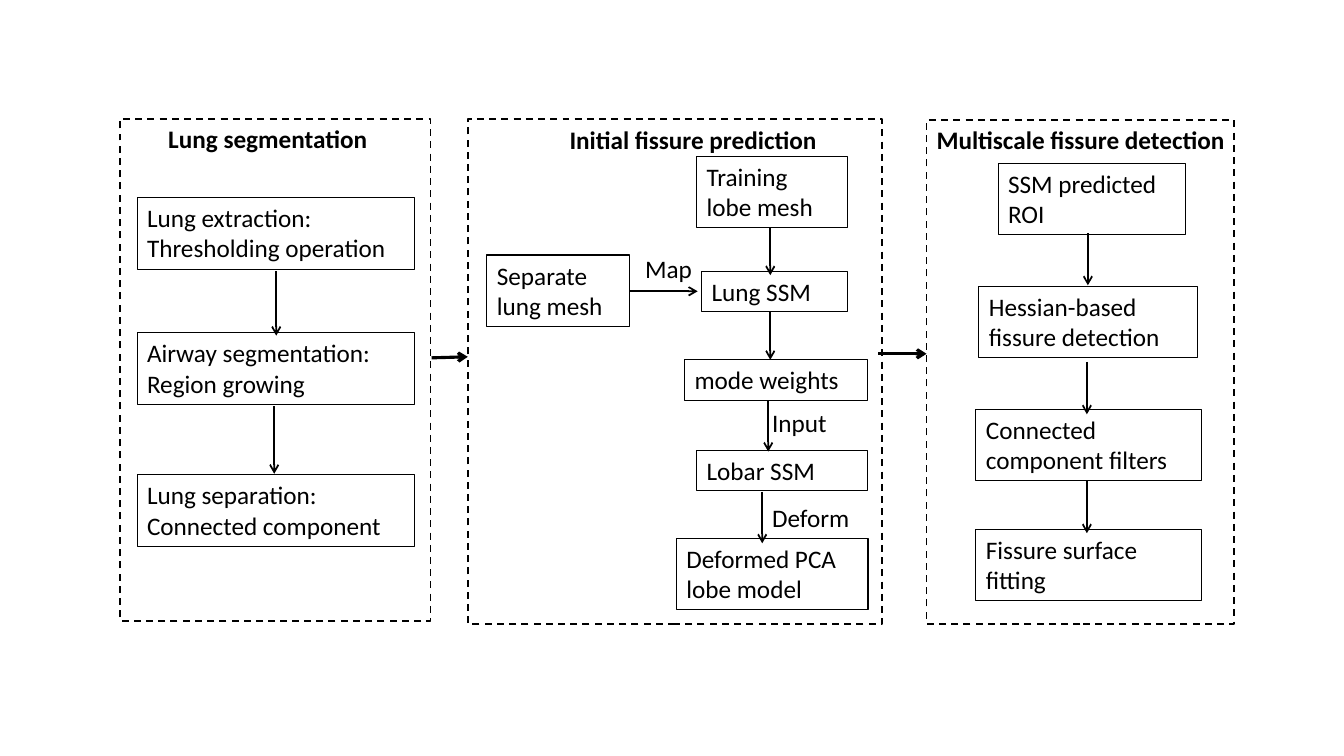
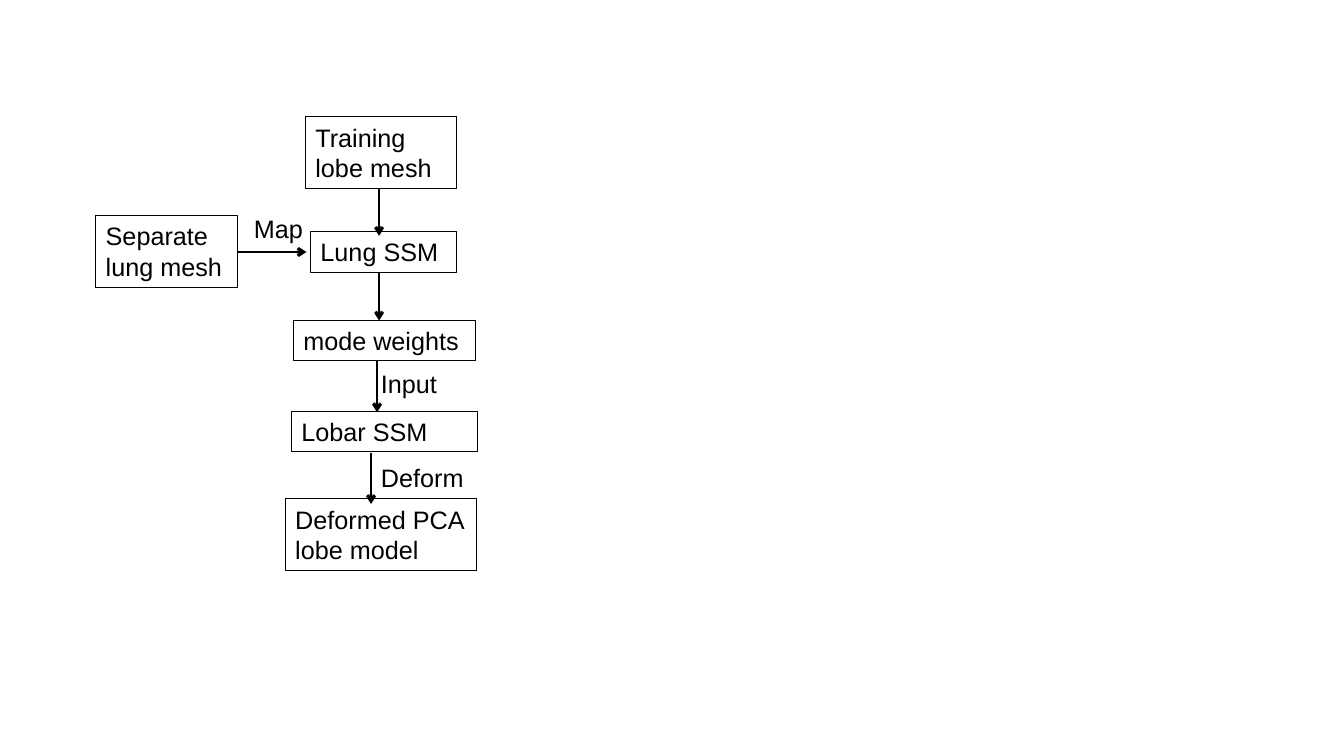
"""Build two flow charts of lung fissure detection."""
from lxml.etree import SubElement
from pptx import Presentation
from pptx.dml.color import RGBColor
from pptx.enum.dml import MSO_LINE
from pptx.enum.shapes import MSO_CONNECTOR, MSO_SHAPE
from pptx.enum.text import MSO_ANCHOR, MSO_AUTO_SIZE, PP_ALIGN
from pptx.oxml.ns import qn
from pptx.util import Inches, Pt

BLACK = RGBColor(0, 0, 0)
TEXT_SIZE = Pt(18)
ONE_LINE, TWO_LINES = 0.4, 0.71


def write(shape, text, font, bold=False):
    """Fill a shape with one left-aligned paragraph."""
    tf = shape.text_frame
    tf.word_wrap = True
    tf.auto_size = MSO_AUTO_SIZE.SHAPE_TO_FIT_TEXT
    tf.vertical_anchor = MSO_ANCHOR.TOP
    p = tf.paragraphs[0]
    p.alignment = PP_ALIGN.LEFT
    r = p.add_run()
    r.text = text
    r.font.name = font
    r.font.size = TEXT_SIZE
    r.font.bold = bold
    r.font.color.rgb = BLACK


def add_outline(s, x, y, w, h, weight):
    """Add an unfilled rectangle with a black outline."""
    sp = s.shapes.add_shape(MSO_SHAPE.RECTANGLE, Inches(x), Inches(y), Inches(w), Inches(h))
    sp.shadow.inherit = False
    sp.fill.background()
    sp.line.color.rgb = BLACK
    sp.line.width = Pt(weight)
    return sp


def add_step(s, text, x, y, w, h, font):
    """Add a boxed step of the flow."""
    write(add_outline(s, x, y, w, h, 0.75), text, font)


def add_label(s, text, x, y, w, font, bold=False):
    """Add a one-line label without a box."""
    sp = s.shapes.add_textbox(Inches(x), Inches(y), Inches(w), Inches(ONE_LINE))
    write(sp, text, font, bold)


def add_stage(s, title, title_x, title_y, title_w, x, y, w, h, font):
    """Add a dashed stage frame with its bold title."""
    add_outline(s, x, y, w, h, 1.25).line.dash_style = MSO_LINE.DASH
    add_label(s, title, title_x, title_y, title_w, font, bold=True)


def add_arrow(s, x1, y1, x2, y2, weight):
    """Add a straight line with an open arrowhead at its end."""
    line = s.shapes.add_connector(
        MSO_CONNECTOR.STRAIGHT, Inches(x1), Inches(y1), Inches(x2), Inches(y2))
    line.line.color.rgb = BLACK
    line.line.width = Pt(weight)
    SubElement(line.line._get_or_add_ln(), qn("a:tailEnd"), type="arrow")
    SubElement(line._element.spPr, qn("a:effectLst"))


def add_down_arrows(s, arrows, weight):
    """Add vertical arrows given as x, top and bottom."""
    for x, top, bottom in arrows:
        add_arrow(s, x, top, x, bottom, weight)


def add_prediction_flow(s, left, top, lobar_x, lobar_w, font, weight):
    """Add the fissure prediction flow from its top left corner."""
    steps = [
        ("Training lobe mesh", 2.08, 0, 1.5, TWO_LINES),
        ("Separate lung mesh", 0, 0.98, 1.41, TWO_LINES),
        ("Lung SSM", 2.13, 1.14, 1.45, ONE_LINE),
        ("mode weights", 1.96, 2.02, 1.81, ONE_LINE),
        ("Lobar SSM", lobar_x, 2.92, lobar_w, ONE_LINE),
        ("Deformed PCA lobe model", 1.88, 3.79, 1.9, TWO_LINES),
    ]
    for text, x, y, w, h in steps:
        add_step(s, text, left + x, top + y, w, h, font)
    labels = [("Map", 1.47, 0.91, 1.46), ("Input", 2.73, 2.44, 0.89),
              ("Deform", 2.73, 3.38, 1.08)]
    for text, x, y, w in labels:
        add_label(s, text, left + x, top + y, w, font)
    add_arrow(s, left + 1.41, top + 1.34, left + 2.09, top + 1.34, weight)
    arrows = [(2.81, 0.71, 1.18), (2.81, 1.54, 2.02), (2.79, 2.42, 2.93), (2.73, 3.33, 3.84)]
    add_down_arrows(s, [(left + x, top + y1, top + y2) for x, y1, y2 in arrows], weight)


def add_segmentation(s, font):
    """Add the lung segmentation stage."""
    add_stage(s, "Lung segmentation", 1.57, 1.17, 2.71, 1.19, 1.18, 3.08, 4.98, font)
    steps = [("Lung extraction: Thresholding operation", 1.96),
             ("Airway segmentation: Region growing", 3.3),
             ("Lung separation: Connected component", 4.71)]
    for text, y in steps:
        add_step(s, text, 1.36, y, 2.75, TWO_LINES, font)
    add_down_arrows(s, [(2.74, 2.69, 3.33), (2.72, 4.03, 4.7)], 1.25)


def add_detection(s, font):
    """Add the multiscale fissure detection stage."""
    add_stage(s, "Multiscale fissure detection", 9.19, 1.18, 3.19, 9.19, 1.19, 3.05, 5, font)
    steps = [("SSM predicted ROI", 9.9, 1.62, 1.86),
             ("Hessian-based fissure detection", 9.71, 2.84, 2.17),
             ("Connected component filters", 9.68, 4.06, 2.24),
             ("Fissure surface fitting", 9.68, 5.25, 2.24)]
    for text, x, y, w in steps:
        add_step(s, text, x, y, w, TWO_LINES, font)
    add_down_arrows(s, [(10.79, 2.31, 2.83), (10.78, 3.59, 4.11), (10.78, 4.77, 5.29)], 1.25)


def build_pipeline(s):
    """Build the three-stage pipeline slide."""
    font = "Calibri"
    add_segmentation(s, font)
    add_stage(s, "Initial fissure prediction", 5.55, 1.18, 2.71, 4.64, 1.18, 4.11, 5.01, font)
    add_prediction_flow(s, 4.83, 1.55, 2.08, 1.69, font, 1.25)
    add_detection(s, font)
    add_arrow(s, 4.28, 3.55, 4.64, 3.54, 2.25)
    add_arrow(s, 8.71, 3.51, 9.19, 3.51, 2.25)


def build_prediction(s):
    """Build the slide with the prediction flow alone."""
    add_prediction_flow(s, 0.95, 1.16, 1.94, 1.85, "Arial", 2)


def main():
    """Create and save the presentation."""
    prs = Presentation()
    prs.slide_width, prs.slide_height = Inches(13.33), Inches(7.5)
    for build in (build_pipeline, build_prediction):
        build(prs.slides.add_slide(prs.slide_layouts[6]))
    prs.save("out.pptx")


main()
